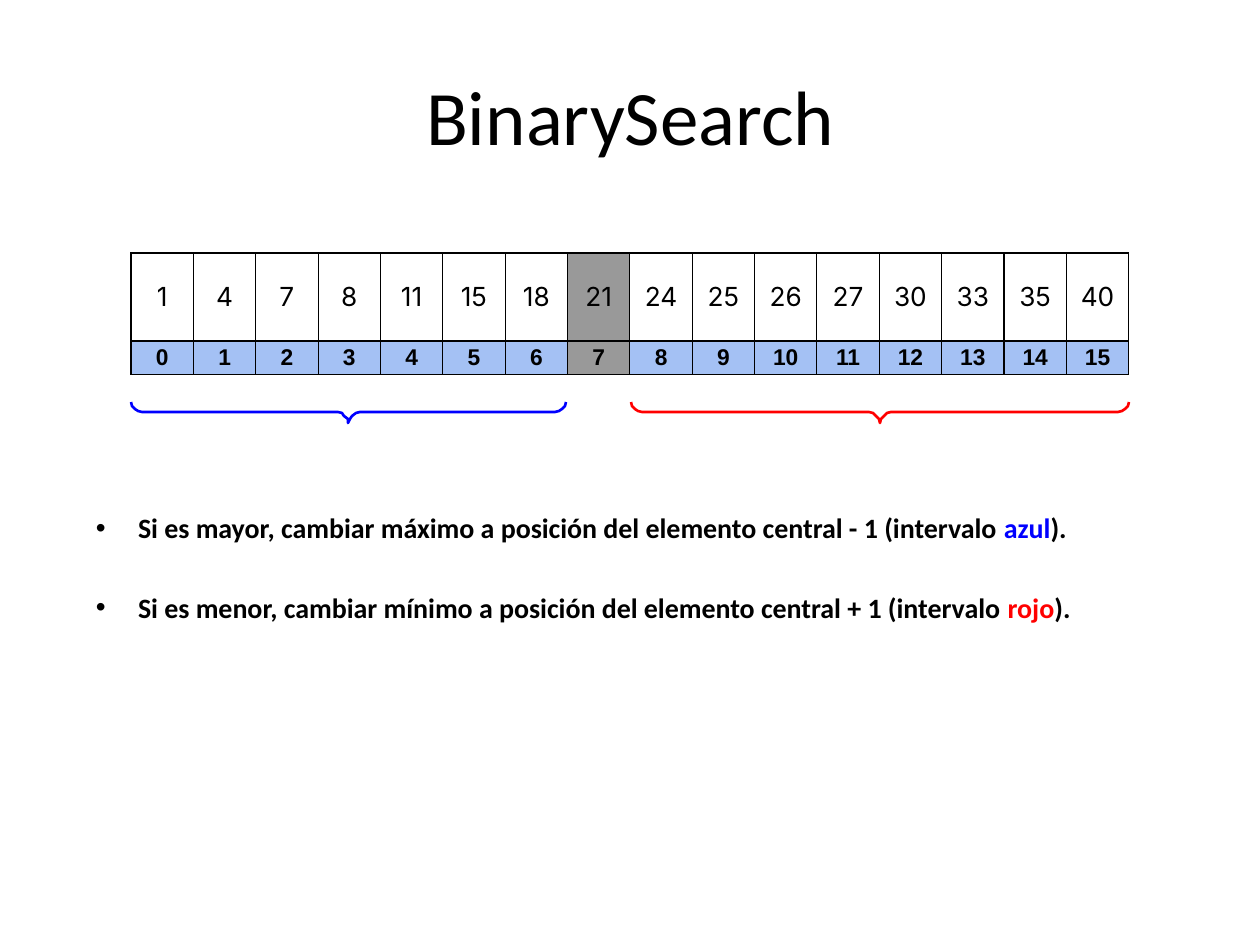
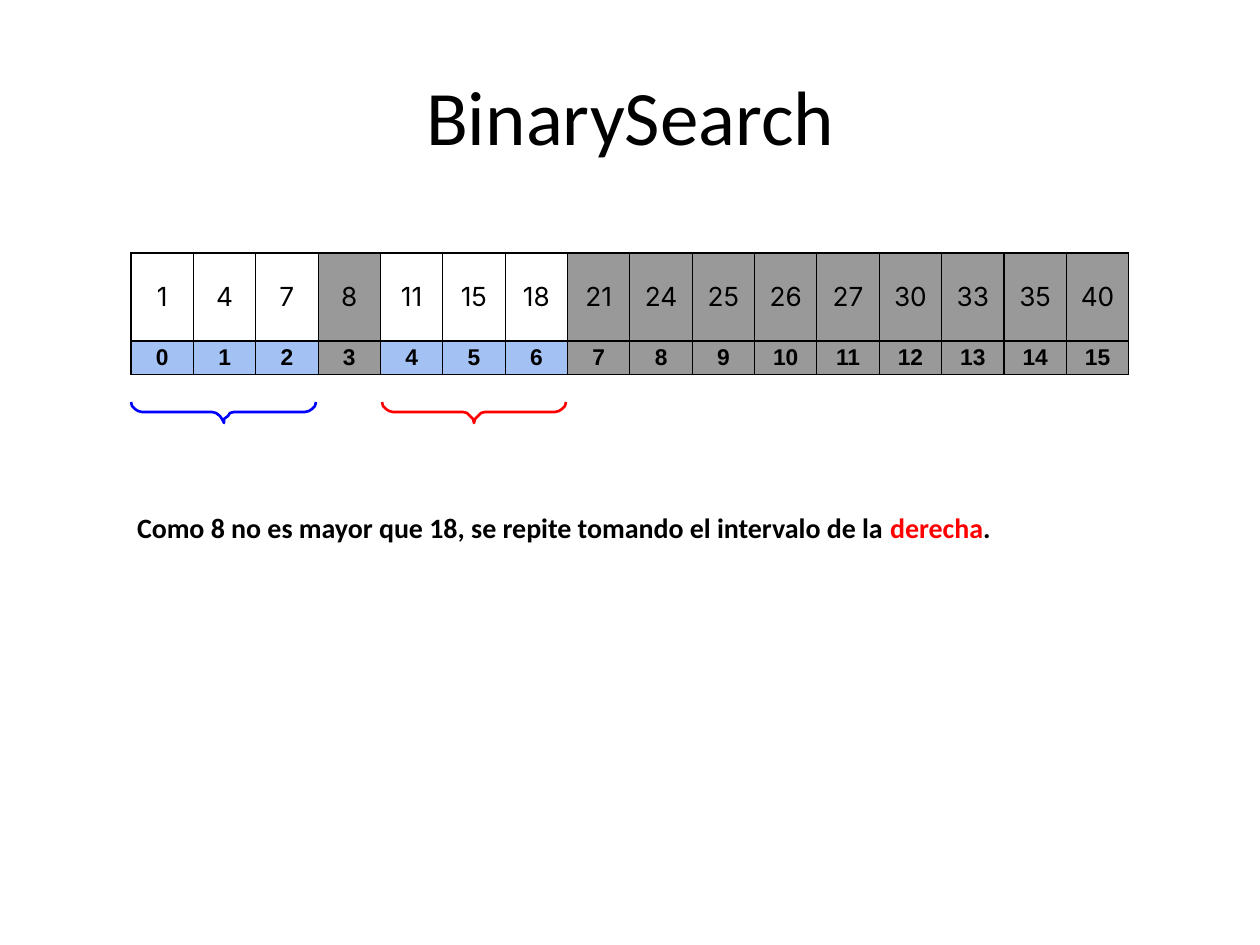
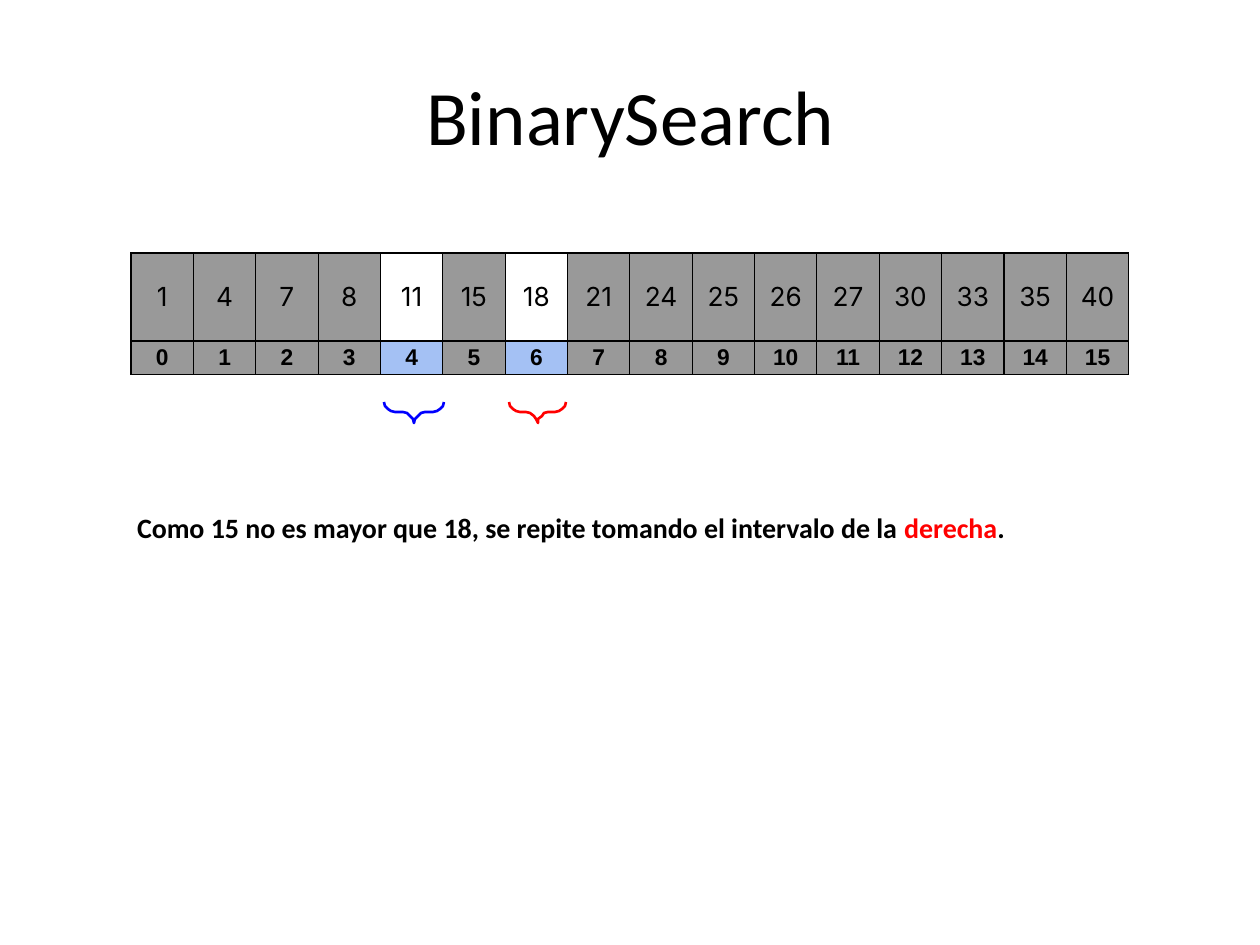
from lxml.etree import SubElement
from pptx import Presentation
from pptx.dml.color import RGBColor
from pptx.enum.text import MSO_ANCHOR, PP_ALIGN
from pptx.oxml.ns import qn
from pptx.util import Pt

SCALE = 914400 / 126
BLACK, BLUE, RED = "000000", "0000FF", "FF0000"
GREY, PALE_BLUE = "999999", "A4C1F4"
VALUES = [1, 4, 7, 8, 11, 15, 18, 21, 24, 25, 26, 27, 30, 33, 35, 40]
TITLE_BOX = (425, 66, 411, 96)
TABLE_BOX = (131, 253, 998, 122)
VALUE_ROW_HEIGHT = 88
BRACE_TOP = 402
BRACE_END = [(0, 0), (1, 4), (4, 7), (7, 9), (11, 10)]
BRACE_TIP = [(11, 10), (7, 11), (4, 14), (1, 17), (0, 21)]


def px(length):
    """Turn pixels into EMU."""
    return round(length * SCALE)


def color(hex_text):
    """Turn a hex string into a colour."""
    return RGBColor.from_string(hex_text)


def style(font, name, size, bold=False):
    """Set the face, size and weight of black text."""
    font.name, font.size, font.bold = name, Pt(size), bold
    font.color.rgb = color(BLACK)


def add_text_frame(page, box, wrap=True):
    """Add a text box with only a small top inset."""
    frame = page.shapes.add_textbox(*map(px, box)).text_frame
    frame.word_wrap = wrap
    frame.margin_left = frame.margin_right = frame.margin_bottom = 0
    frame.margin_top = px(3)
    return frame


def add_title(page, box):
    """Place the shared slide title."""
    para = add_text_frame(page, box, wrap=False).paragraphs[0]
    para.text = "BinarySearch"
    para.alignment = PP_ALIGN.CENTER
    style(para.font, "Calibri", 44)


def add_bullet(para):
    """Give a paragraph a hanging round bullet."""
    properties = para._p.get_or_add_pPr()
    properties.set("marL", str(px(43)))
    properties.set("indent", str(-px(42)))
    SubElement(properties, qn("a:buFont"), typeface="Arial")
    SubElement(properties, qn("a:buChar"), char="•")


def add_statements(page, box, statements, bulleted):
    """Write bold statements, each with one coloured word."""
    frame = add_text_frame(page, box)
    for number, (before, word, hue, after) in enumerate(statements):
        para = frame.add_paragraph() if number else frame.paragraphs[0]
        if bulleted:
            add_bullet(para)
        if number:
            para.space_before = Pt(26)
        style(para.font, "Calibri", 16, bold=True)
        for text in (before, word, after):
            span = para.add_run()
            span.text = text
            if text == word:
                span.font.color.rgb = color(hue)


def add_borders(cell):
    """Draw thin black lines on the four sides of a cell."""
    properties = cell._tc.get_or_add_tcPr()
    for side in ("lnL", "lnR", "lnT", "lnB"):
        line = SubElement(properties, qn(f"a:{side}"), w=str(Pt(0.75)))
        fill = SubElement(line, qn("a:solidFill"))
        SubElement(fill, qn("a:srgbClr"), val=BLACK)


def fill_cell(cell, number, font_name, size, bold, fill):
    """Write a centred number in a bordered cell."""
    cell.margin_left = cell.margin_right = cell.margin_top = cell.margin_bottom = 0
    cell.vertical_anchor = MSO_ANCHOR.MIDDLE
    add_borders(cell)
    if fill:
        cell.fill.solid()
        cell.fill.fore_color.rgb = color(fill)
    else:
        cell.fill.background()
    para = cell.text_frame.paragraphs[0]
    para.text = str(number)
    para.alignment = PP_ALIGN.CENTER
    style(para.font, font_name, size, bold)


def add_array(page, box, candidates):
    """Draw the sorted array over its indices, greying out discarded places."""
    left, top, width, height = box
    count = len(VALUES)
    table = page.shapes.add_table(2, count, *map(px, box)).table
    table.first_row = table.horz_banding = False
    table.rows[0].height = px(VALUE_ROW_HEIGHT)
    table.rows[1].height = px(height - VALUE_ROW_HEIGHT)
    for index, value in enumerate(VALUES):
        table.columns[index].width = px(width / count)
        live = index in candidates
        fill_cell(table.cell(0, index), value, "Inter", 15, False,
                  None if live else GREY)
        fill_cell(table.cell(1, index), index, "Arial", 13, True,
                  PALE_BLUE if live else GREY)


def add_brace(page, left, top, width, hue):
    """Draw a brace that opens upwards under an interval."""
    right, middle = left + width, left + width / 2
    right_half = ([(right - x, top + y) for x, y in BRACE_END]
                  + [(middle + x, top + y) for x, y in BRACE_TIP])
    left_half = [(left + right - x, y) for x, y in reversed(right_half)]
    start, *rest = right_half + left_half[1:]
    builder = page.shapes.build_freeform(*start, scale=SCALE)
    builder.add_line_segments(rest, close=False)
    brace = builder.convert_to_shape()
    brace.shadow.inherit = False
    brace.fill.background()
    brace.line.color.rgb = color(hue)
    brace.line.width = Pt(1.5)


def add_step(deck, candidates, blue_span, red_span, text_box, statements, bulleted=False):
    """Build one slide that shows a step of the search."""
    page = deck.slides.add_slide(deck.slide_layouts[6])
    add_title(page, TITLE_BOX)
    add_statements(page, text_box, statements, bulleted)
    add_array(page, TABLE_BOX, candidates)
    for (left, width), hue in ((blue_span, BLUE), (red_span, RED)):
        add_brace(page, left, BRACE_TOP, width, hue)


def repeat_statement(value):
    """Word the decision to go on with the right interval."""
    return [(f"Como {value} no es mayor que 18, se repite tomando el intervalo de la ",
             "derecha", RED, ".")]


def main():
    """Build and save the deck."""
    deck = Presentation()
    deck.slide_width, deck.slide_height = px(1260), px(945)
    rules = [
        ("Si es mayor, cambiar máximo a posición del elemento central - 1 (intervalo ",
         "azul", BLUE, ")."),
        ("Si es menor, cambiar mínimo a posición del elemento central + 1 (intervalo ",
         "rojo", RED, ")."),
    ]
    add_step(deck, set(range(16)) - {7}, (131, 435), (631, 498),
             (95, 508, 979, 117), rules, bulleted=True)
    add_step(deck, {0, 1, 2, 4, 5, 6}, (131, 185), (382, 184),
             (137, 508, 873, 37), repeat_statement(8))
    add_step(deck, {4, 6}, (384, 60), (509, 57),
             (137, 508, 873, 37), repeat_statement(15))
    deck.save("out.pptx")


main()
